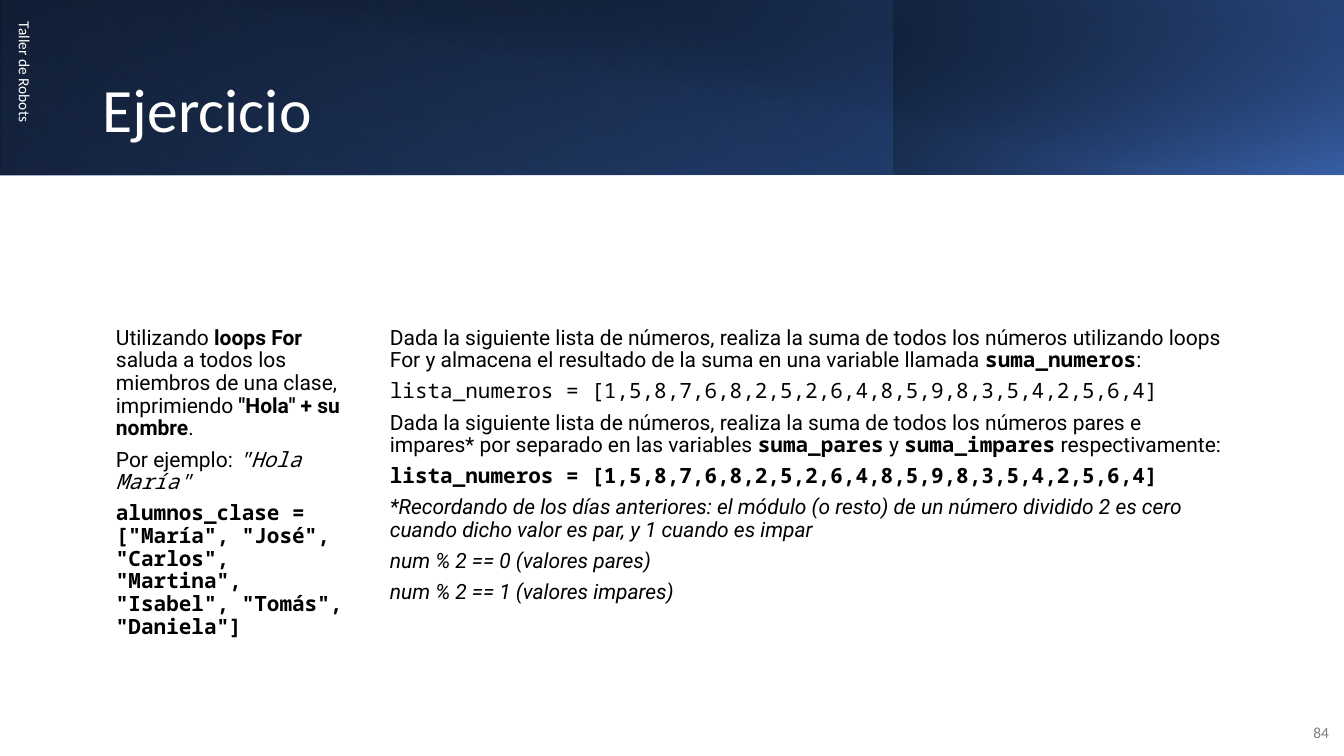
from dataclasses import dataclass

from lxml.etree import SubElement
from pptx import Presentation
from pptx.dml.color import RGBColor
from pptx.enum.shapes import MSO_SHAPE as Preset
from pptx.enum.text import MSO_ANCHOR as Anchor, PP_ALIGN as Align
from pptx.oxml.ns import qn
from pptx.slide import Slide
from pptx.util import Emu, Pt

EMU_PER_PX = 914400 / 100.8
COLORS = {
    "black": "000000",
    "white": "FFFFFF",
    "gray": "808080",
    "blue": "4472C4",
    "royal": "2F5597",
    "navy": "203864",
}


@dataclass
class Stop:
    position: int
    color: str
    alpha: int = 100


@dataclass
class Band:
    place: tuple[int, int, int, int]
    angle: int
    stops: tuple[Stop, Stop]
    flipped: bool = False
    rotation: int = 0


@dataclass
class Span:
    text: str
    name: str = "Roboto"
    bold: bool = False
    italic: bool = False


@dataclass
class TextBlock:
    place: tuple[int, int, int, int]
    paras: list[list[Span]]
    size: int
    color: str
    anchor: Anchor = Anchor.MIDDLE
    align: Align = Align.LEFT
    line_spacing: float = 1.0
    space_after: int = 6
    rotation: int = 0


def code(text: str, bold: bool = False, italic: bool = False) -> Span:
    return Span(text, "Noto Sans Mono", bold, italic)


def strong(text: str) -> Span:
    return Span(text, bold=True)


def slanted(text: str) -> Span:
    return Span(text, italic=True)


def label(text: str) -> list[list[Span]]:
    return [[Span(text, "Calibri")]]


NUMBER_LIST = "lista_numeros = [1,5,8,7,6,8,2,5,2,6,4,8,5,9,8,3,5,4,2,5,6,4]"

GREETING = [
    [
        Span("Utilizando "),
        strong("loops For"),
        Span(" saluda a todos los miembros de una clase, imprimiendo "),
        strong('"Hola" + su nombre'),
        Span("."),
    ],
    [Span("Por ejemplo: "), code('"Hola María"', italic=True)],
    [code('alumnos_clase = ["María", "José", "Carlos", "Martina", '
          '"Isabel", "Tomás", "Daniela"]', bold=True)],
]

SUMS = [
    [
        Span("Dada la siguiente lista de números, realiza la suma de todos los números "
             "utilizando loops For y almacena el resultado de la suma en una variable "
             "llamada "),
        code("suma_numeros", bold=True),
        Span(":"),
    ],
    [code(NUMBER_LIST)],
    [
        Span("Dada la siguiente lista de números, realiza la suma de todos los números "
             "pares e impares* por separado en las variables "),
        code("suma_pares", bold=True),
        Span(" y "),
        code("suma_impares", bold=True),
        Span(" respectivamente:"),
    ],
    [code(NUMBER_LIST, bold=True)],
    [slanted("*Recordando de los días anteriores: el módulo (o resto) de un número "
             "dividido 2 es cero cuando dicho valor es par, y 1 cuando es impar")],
    [slanted("num % 2 == 0 (valores pares)")],
    [slanted("num % 2 == 1 (valores impares)")],
]

BANDS = [
    Band((0, 0, 1344, 175), 140, (Stop(0, "black"), Stop(100, "royal")), flipped=True),
    Band((0, 0, 895, 175), 230, (Stop(20, "blue", 0), Stop(100, "navy", 55)),
         flipped=True, rotation=180),
    Band((894, 0, 450, 175), 220, (Stop(0, "blue", 66), Stop(100, "black", 30))),
    Band((50, 0, 1294, 176), 280, (Stop(50, "black", 0), Stop(99, "navy", 52))),
]

BODY = {"size": 15, "color": "black", "anchor": Anchor.TOP, "line_spacing": 0.9}

TEXTS = [
    TextBlock((-202, 219, 454, 40), label("Taller de Robots"), 11, "white", rotation=90),
    TextBlock((1290, 712, 49, 40), label("84"), 11, "gray", align=Align.RIGHT),
    TextBlock((93, 40, 1159, 146), label("Ejercicio"), 44, "white",
              line_spacing=0.9, space_after=0),
    TextBlock((106, 322, 266, 330), GREETING, **BODY),
    TextBlock((380, 322, 859, 330), SUMS, **BODY),
]


def px(length: int) -> Emu:
    return Emu(round(length * EMU_PER_PX))


def apply_format(target: object, values: dict[str, object]) -> None:
    for name, value in values.items():
        setattr(target, name, value)


def draw_band(page: Slide, band: Band) -> None:
    shape = page.shapes.add_shape(Preset.RECTANGLE, *map(px, band.place))
    shape.shadow.inherit = False
    shape.line.fill.background()
    shape.rotation = band.rotation
    if band.flipped:
        shape._element.spPr.find(qn("a:xfrm")).set("flipH", "1")
    shape.fill.gradient()
    shape.fill.gradient_angle = 360 - band.angle
    for target, stop in zip(shape.fill.gradient_stops, band.stops):
        target.position = stop.position / 100
        target.color.rgb = RGBColor.from_string(COLORS[stop.color])
        if stop.alpha < 100:
            tint = target._gs.find(qn("a:srgbClr"))
            SubElement(tint, qn("a:alpha")).set("val", str(stop.alpha * 1000))


def draw_text(page: Slide, block: TextBlock) -> None:
    box = page.shapes.add_textbox(*map(px, block.place))
    box.rotation = block.rotation
    frame = box.text_frame
    apply_format(frame, {"word_wrap": True, "vertical_anchor": block.anchor})
    for index, spans in enumerate(block.paras):
        para = frame.add_paragraph() if index else frame.paragraphs[0]
        apply_format(para, {
            "alignment": block.align,
            "line_spacing": block.line_spacing,
            "space_after": Pt(block.space_after),
        })
        for span in spans:
            run = para.add_run()
            run.text = span.text
            apply_format(run.font, {
                "name": span.name,
                "size": Pt(block.size),
                "bold": span.bold,
                "italic": span.italic,
            })
            run.font.color.rgb = RGBColor.from_string(COLORS[block.color])


def main() -> None:
    deck = Presentation()
    apply_format(deck, {"slide_width": px(1344), "slide_height": px(756)})
    page = deck.slides.add_slide(deck.slide_layouts[6])
    for band in BANDS:
        draw_band(page, band)
    for block in TEXTS:
        draw_text(page, block)
    deck.save("out.pptx")


if __name__ == "__main__":
    main()
